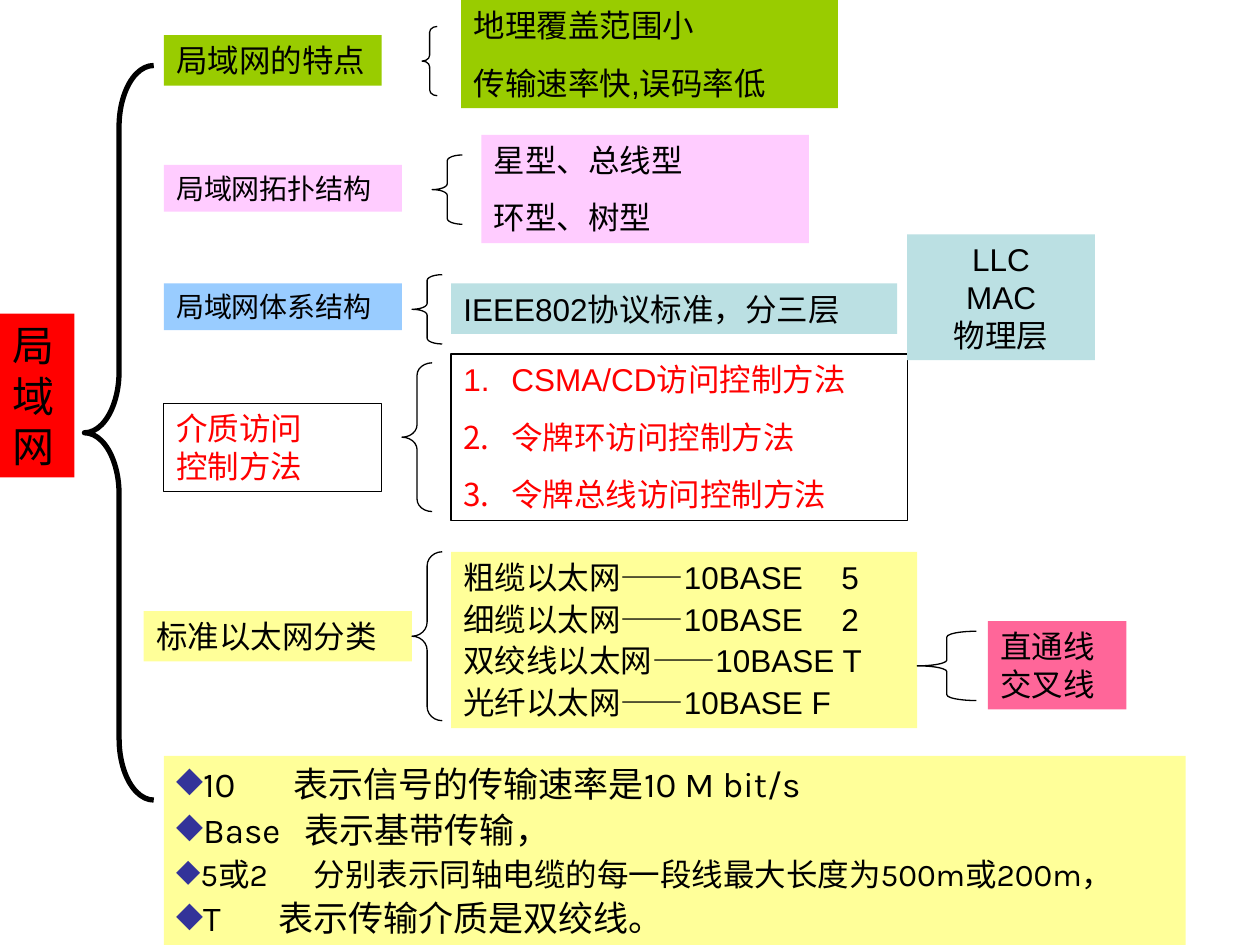
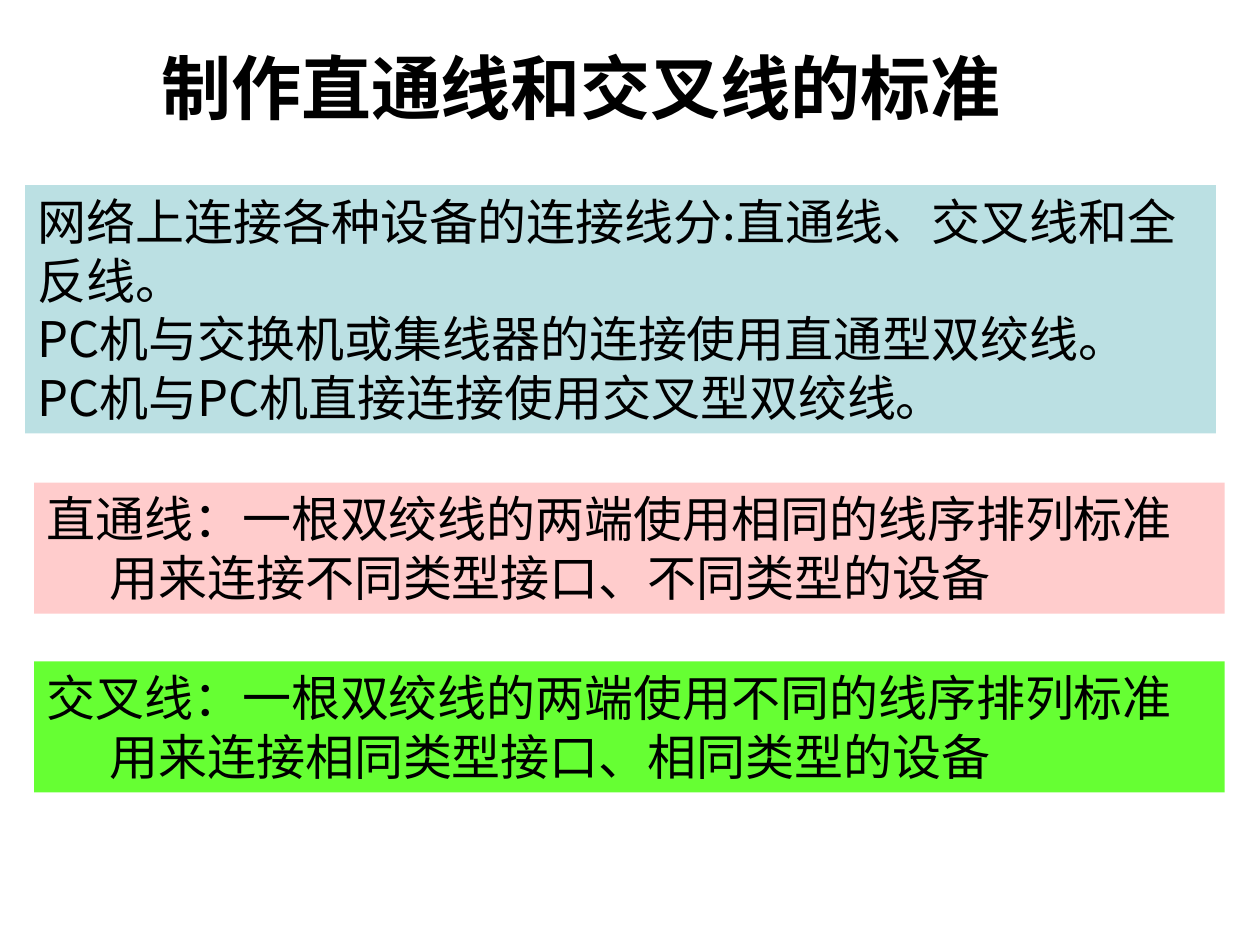
from lxml import etree
from pptx import Presentation
from pptx import util as u
from pptx.dml.color import RGBColor
from pptx.enum import shapes, text
from pptx.oxml.ns import qn

PX = 9144
BLACK, RED, WHITE = "000000", "FF0000", "FFFFFF"
GREEN, PINK, BLUE, TEAL, YELLOW = "99CC00", "FFCCFF", "99CCFF", "BBE0E3", "FFFF99"
CJK = "Noto Sans CJK SC"
LINE_HEIGHT = 1.2

MAP_BOXES = [
    ((0, 249, 59, 130), RED, ["局域网"], dict(size=24)),
    ((130, 28, 173, 40), GREEN, ["局域网的特点"], {}),
    ((366, 0, 299, 86), GREEN, ["地理覆盖范围小", "传输速率快,误码率低"], dict(gap=11.2)),
    ((130, 131, 189, 37), PINK, ["局域网拓扑结构"], dict(size=16)),
    ((382, 107, 260, 86), PINK, ["星型、总线型", "环型、树型"], dict(gap=11.2)),
    ((130, 225, 189, 37), BLUE, ["局域网体系结构"], dict(size=16)),
    ((358, 225, 354, 40), TEAL, ["IEEE802协议标准，分三层"], {}),
    ((130, 320, 173, 70), WHITE, ["介质访问", "控制方法"], dict(color=RED, border=BLACK)),
    ((358, 281, 362, 132), WHITE,
     ["CSMA/CD访问控制方法", "令牌环访问控制方法", "令牌总线访问控制方法"],
     dict(color=RED, border=BLACK, gap=11.2, numbered=True)),
    ((720, 186, 149, 100), TEAL, ["LLC", "MAC", "物理层"], dict(align=text.PP_ALIGN.CENTER)),
    ((114, 485, 213, 40), YELLOW, ["标准以太网分类"], {}),
    ((358, 438, 370, 140), YELLOW,
     [("粗缆以太网——10BASE\t5", dict(tab=289)),
      ("细缆以太网——10BASE\t2", dict(tab=289)),
      "双绞线以太网——10BASE T",
      "光纤以太网——10BASE F"], dict(gap=2.2)),
    ((784, 493, 110, 70), "FF6699", ["直通线", "交叉线"], {}),
    ((130, 600, 811, 150), YELLOW,
     [("10\t表示信号的传输速率是10 M bit/s", dict(tab=93)),
      ("Base\t表示基带传输，", dict(tab=102)),
      ("5或2\t分别表示同轴电缆的每一段线最大长度为500m或200m，", dict(tab=109, size=18)),
      ("T\t表示传输介质是双绞线。", dict(tab=81))],
     dict(size=20, font="Karla", gap=2.5, bullet="◆", anchor=text.MSO_ANCHOR.MIDDLE)),
]

BRACES = [
    ((335, 21, 12, 55), 0.75),
    ((343, 123, 24, 55), 0.75),
    ((327, 218, 24, 55), 0.75),
    ((319, 288, 24, 118), 0.75),
    ((327, 438, 24, 134), 0.75),
    ((728, 501, 47, 55), 0.75),
    ((67, 52, 55, 583), 3),
]

CABLE_TITLE = "制作直通线和交叉线的标准"
CABLE_BOXES = [
    ((20, 147, 945, 197), TEAL,
     ["网络上连接各种设备的连接线分:直通线、交叉线和全反线。",
      "PC机与交换机或集线器的连接使用直通型双绞线。",
      "PC机与PC机直接连接使用交叉型双绞线。"]),
    ((27, 383, 945, 104), "FFCCCC",
     ["直通线：一根双绞线的两端使用相同的线序排列标准",
      ("用来连接不同类型接口、不同类型的设备", dict(indent=50))]),
    ((27, 525, 945, 104), "66FF33",
     ["交叉线：一根双绞线的两端使用不同的线序排列标准",
      ("用来连接相同类型接口、相同类型的设备", dict(indent=50))]),
]


def rgb(value):
    return RGBColor.from_string(value)


def emu(rect):
    return [v * PX for v in rect]


def sub(parent, tag, **attrs):
    return etree.SubElement(parent, qn(tag), {k: str(v) for k, v in attrs.items()})


def write(p, line, first, size=18, color=BLACK, font="Arial", bold=False, gap=0,
          align=text.PP_ALIGN.LEFT, indent=0, tab=None, bullet=None, numbered=False):
    pPr = p._p.get_or_add_pPr()
    hang = 38 if numbered else 0
    pPr.set("marL", str((indent + hang) * PX))
    pPr.set("indent", str(-hang * PX))
    if bullet or numbered:
        sub(sub(pPr, "a:buClr"), "a:srgbClr", val=color if numbered else "333399")
    if numbered:
        sub(pPr, "a:buFont", typeface=font)
        sub(pPr, "a:buAutoNum", type="arabicPeriod")
    elif bullet:
        sub(pPr, "a:buChar", char=bullet)
    else:
        sub(pPr, "a:buNone")
    if tab:
        sub(sub(pPr, "a:tabLst"), "a:tab", pos=tab * PX, algn="l")
    p.alignment = align
    p.line_spacing = u.Pt(size * LINE_HEIGHT)
    p.space_before = u.Pt(0 if first else gap)
    r = p.add_run()
    r.text = line
    r.font.size, r.font.bold, r.font.name = u.Pt(size), bold, font
    r.font.color.rgb = rgb(color)
    sub(r._r.get_or_add_rPr(), "a:ea", typeface=CJK)


def put_text(sp, lines, anchor=text.MSO_ANCHOR.TOP, **fmt):
    tf = sp.text_frame
    tf.word_wrap, tf.auto_size = True, text.MSO_AUTO_SIZE.NONE
    tf.vertical_anchor = anchor
    tf.margin_left = tf.margin_right = 10 * PX
    tf.margin_top = tf.margin_bottom = 5 * PX
    for i, item in enumerate(lines):
        line, own = (item, {}) if isinstance(item, str) else item
        p = tf.paragraphs[0] if i == 0 else tf.add_paragraph()
        write(p, line, i == 0, **{**fmt, **own})


def add_box(s, rect, fill, lines, border=None, **fmt):
    sp = s.shapes.add_shape(shapes.MSO_SHAPE.RECTANGLE, *emu(rect))
    sp.shadow.inherit = False
    sp.fill.solid()
    sp.fill.fore_color.rgb = rgb(fill)
    if border:
        sp.line.color.rgb = rgb(border)
        sp.line.width = u.Pt(0.75)
    else:
        sp.line.fill.background()
    put_text(sp, lines, **fmt)


def add_brace(s, rect, weight):
    sp = s.shapes.add_shape(shapes.MSO_SHAPE.LEFT_BRACE, *emu(rect))
    sp.shadow.inherit = False
    sp.fill.background()
    sp.line.color.rgb = rgb(BLACK)
    sp.line.width = u.Pt(weight)
    width, height = rect[2:]
    sp.adjustments[0] = height / 12 / width


def main():
    prs = Presentation()
    prs.slide_width, prs.slide_height = 1000 * PX, 750 * PX

    s = prs.slides.add_slide(prs.slide_layouts[6])
    for rect, fill, lines, fmt in MAP_BOXES:
        add_box(s, rect, fill, lines, **fmt)
    for rect, weight in BRACES:
        add_brace(s, rect, weight)

    s = prs.slides.add_slide(prs.slide_layouts[5])
    title = s.shapes.title
    title.left, title.top, title.width, title.height = emu((35, 36, 852, 71))
    put_text(title, [CABLE_TITLE], size=40, bold=True,
             align=text.PP_ALIGN.CENTER, anchor=text.MSO_ANCHOR.BOTTOM)
    for rect, fill, lines in CABLE_BOXES:
        add_box(s, rect, fill, lines, size=28, font=CJK)

    prs.save("out.pptx")


if __name__ == "__main__":
    main()
